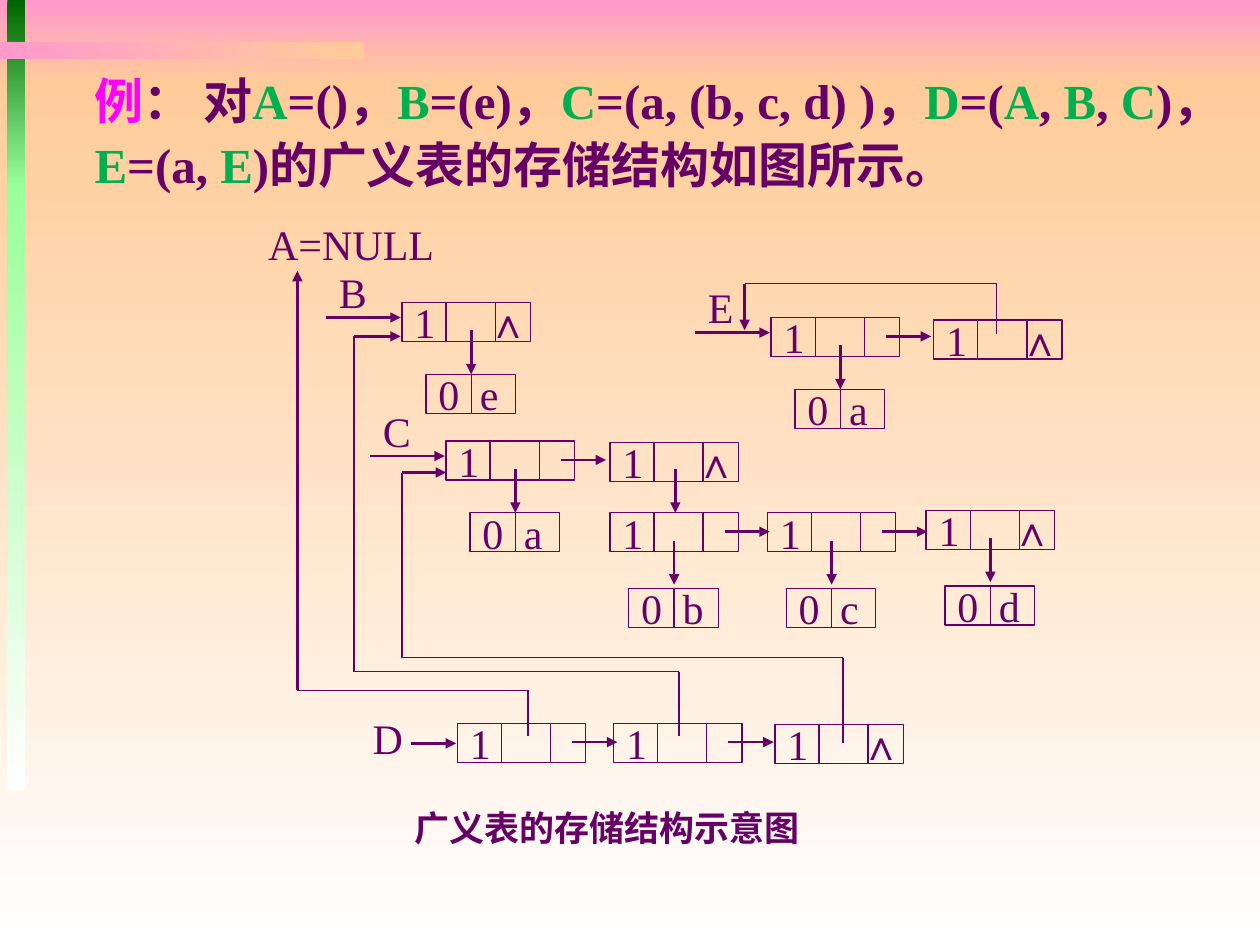
from itertools import pairwise

from lxml.etree import SubElement
from pptx import Presentation
from pptx.dml.color import RGBColor
from pptx.enum.shapes import MSO_CONNECTOR, MSO_SHAPE
from pptx.enum.text import MSO_ANCHOR, MSO_AUTO_SIZE, PP_ALIGN
from pptx.oxml.ns import qn
from pptx.util import Inches, Pt

THEME = {
    "ink": "660066", "name": "00B050", "example": "FF00FF",
    "pink": "FF99CC", "peach": "FFCC99", "white": "FFFFFF",
    "forest": "006600", "mint": "99FF99",
    "serif": "Times New Roman", "sans": "Arial", "cjk": "Noto Sans CJK SC",
    "title": 28, "node": 24, "caption": 20, "thin": 0.75, "thick": 1.5,
}

BANDS = [
    (0, 0, 10, 0.67, "pink", "peach", 270),
    (0, 0.67, 10, 6.83, "peach", "white", 270),
    (0.06, 0, 0.14, 1.48, "forest", "mint", 270),
    (0.06, 1.46, 0.14, 4.81, "mint", "white", 270),
    (0, 0.33, 2.89, 0.14, "pink", "peach", 0),
]

TITLE = [
    ("例", "example"), ("： 对", "ink"), ("A", "name"), ("=()，", "ink"),
    ("B", "name"), ("=(e)，", "ink"), ("C", "name"), ("=(a, (b, c, d) )，", "ink"),
    ("D", "name"), ("=(", "ink"), ("A", "name"), (", ", "ink"), ("B", "name"),
    (", ", "ink"), ("C", "name"), (")， ", "ink"), ("E", "name"),
    ("=(a, ", "ink"), ("E", "name"), (")的广义表的存储结构如图所示。", "ink"),
]
CAPTION = "广义表的存储结构示意图"

WIDE, NARROW = (0.19, 0.57), (0.15, 0.6)
LIST_NODES = [
    (3.19, 2.4, True, "e", WIDE),
    (3.54, 3.5, False, "a", WIDE),
    (4.84, 3.51, True, None, None),
    (4.84, 4.07, False, "b", NARROW),
    (6.09, 4.07, False, "c", NARROW),
    (7.35, 4.05, True, "d", NARROW),
    (3.63, 5.74, False, None, None),
    (4.87, 5.74, False, None, None),
    (6.15, 5.75, True, None, None),
    (6.12, 2.52, False, "a", WIDE),
    (7.41, 2.54, True, None, None),
]
ENTRIES = [("B", 3.19, 2.4), ("C", 3.54, 3.5), ("E", 6.12, 2.52)]
LABELS = [("A=NULL", 2.03, 1.74, 1.6), ("D", 2.86, 5.66, 0.39)]
LINKS = [
    [(3.26, 5.9), (3.62, 5.9)],
    [(5.36, 3.72), (5.36, 4.07)],
    [(4.19, 5.84), (4.19, 5.48), (2.36, 5.48), (2.36, 2.15)],
    [(5.39, 5.84), (5.39, 5.33), (2.81, 5.33), (2.81, 2.67), (3.18, 2.67)],
    [(6.69, 5.9), (6.69, 5.22), (3.19, 5.22), (3.19, 3.75), (3.54, 3.75)],
    [(7.91, 2.65), (7.91, 2.25), (5.91, 2.25), (5.91, 2.62)],
]
NODE_WIDTH, ATOM_WIDTH, CELL_HEIGHT = 1.02, 0.71, 0.31
NODE_DIVIDERS, ATOM_DIVIDERS = (0.35, 0.74), (0.36,)
NULL_TAB, ATOM_TAB = 0.58, 0.33


def rgb(key):
    return RGBColor.from_string(THEME[key])


def assign(target, values):
    for attribute, value in values.items():
        setattr(target, attribute, value)


def add_run(paragraph, text, size, face="serif", color="ink", bold=False):
    run = paragraph.add_run()
    run.text = text
    assign(run.font, {"size": Pt(THEME[size]), "name": THEME[face], "bold": bold})
    run.font.color.rgb = rgb(color)
    SubElement(run.font._element, qn("a:ea"), typeface=THEME["cjk"])


def add_band(shapes, left, top, width, height, start, end, angle):
    band = shapes.add_shape(MSO_SHAPE.RECTANGLE, *map(Inches, (left, top, width, height)))
    band.shadow.inherit = False
    band.line.fill.background()
    band.fill.gradient()
    band.fill.gradient_angle = angle
    for stop, color in zip(band.fill.gradient_stops, (start, end)):
        stop.color.rgb = rgb(color)


def add_line(shapes, start, end, arrow=False):
    line = shapes.add_connector(MSO_CONNECTOR.STRAIGHT, *map(Inches, (*start, *end)))
    line.line.color.rgb = rgb("ink")
    line.line.width = Pt(THEME["thick" if arrow else "thin"])
    if arrow:
        SubElement(line.line._get_or_add_ln(), qn("a:tailEnd"), type="triangle")
    SubElement(line._element.spPr, qn("a:effectLst"))


def write_symbols(holder, text, tab=None):
    assign(holder.text_frame, {"word_wrap": False, "vertical_anchor": MSO_ANCHOR.MIDDLE})
    paragraph = holder.text_frame.paragraphs[0]
    paragraph.alignment = PP_ALIGN.LEFT
    if tab:
        stops = SubElement(paragraph._p.get_or_add_pPr(), qn("a:tabLst"))
        SubElement(stops, qn("a:tab"), pos=str(Inches(tab)), algn="l")
    add_run(paragraph, text, "node")


def add_label(shapes, text, left, top, width=0.39):
    write_symbols(shapes.add_textbox(*map(Inches, (left, top, width, 0.39))), text)


def add_cells(shapes, left, top, width, dividers, text, tab):
    cells = shapes.add_shape(
        MSO_SHAPE.RECTANGLE, *map(Inches, (left, top, width, CELL_HEIGHT)))
    cells.shadow.inherit = False
    cells.fill.background()
    cells.line.color.rgb = rgb("ink")
    cells.line.width = Pt(THEME["thin"])
    write_symbols(cells, text, tab)
    for offset in dividers:
        add_line(shapes, (left + offset, top), (left + offset, top + CELL_HEIGHT))


def add_list_node(shapes, left, top, is_last, atom, atom_offset):
    add_cells(shapes, left, top, NODE_WIDTH, NODE_DIVIDERS,
              "1\t∧" if is_last else "1", NULL_TAB)
    if not is_last:
        add_line(shapes, (left + 0.91, top + 0.15), (left + 1.27, top + 0.15), True)
    if atom:
        atom_left, atom_top = left + atom_offset[0], top + atom_offset[1]
        pointer = atom_left + ATOM_DIVIDERS[0]
        add_cells(shapes, atom_left, atom_top, ATOM_WIDTH, ATOM_DIVIDERS,
                  f"0\t{atom}", ATOM_TAB)
        add_line(shapes, (pointer, top + 0.22), (pointer, top + 0.57), True)


def add_title(slide):
    title = slide.shapes.title
    assign(title, {"left": Inches(0.65), "top": Inches(0.46),
                   "width": Inches(9.22), "height": Inches(1.08)})
    assign(title.text_frame, {"word_wrap": True, "vertical_anchor": MSO_ANCHOR.TOP,
                              "auto_size": MSO_AUTO_SIZE.NONE})
    paragraph = title.text_frame.paragraphs[0]
    assign(paragraph, {"alignment": PP_ALIGN.LEFT, "line_spacing": 1.1,
                       "space_before": Pt(0)})
    for text, color in TITLE:
        add_run(paragraph, text, "title", color=color, bold=True)
    slide.shapes._spTree.append(title._element)


def add_caption(shapes):
    caption = shapes.add_textbox(*map(Inches, (2.36, 6.36, 4.92, 0.42)))
    assign(caption.text_frame, {"word_wrap": True, "vertical_anchor": MSO_ANCHOR.MIDDLE})
    paragraph = caption.text_frame.paragraphs[0]
    paragraph.alignment = PP_ALIGN.CENTER
    add_run(paragraph, CAPTION, "caption", "sans", bold=True)


def main():
    deck = Presentation()
    assign(deck, {"slide_width": Inches(10), "slide_height": Inches(7.5)})
    slide = deck.slides.add_slide(deck.slide_layouts[5])
    shapes = slide.shapes
    for band in BANDS:
        add_band(shapes, *band)
    add_title(slide)
    for label in LABELS:
        add_label(shapes, *label)
    for node in LIST_NODES:
        add_list_node(shapes, *node)
    for name, left, top in ENTRIES:
        add_label(shapes, name, left - 0.6, top - 0.28)
        add_line(shapes, (left - 0.6, top + 0.12), (left - 0.01, top + 0.12), True)
    for link in LINKS:
        for start, end in pairwise(link):
            add_line(shapes, start, end, arrow=end == link[-1])
    add_caption(shapes)
    deck.save("out.pptx")


if __name__ == "__main__":
    main()
